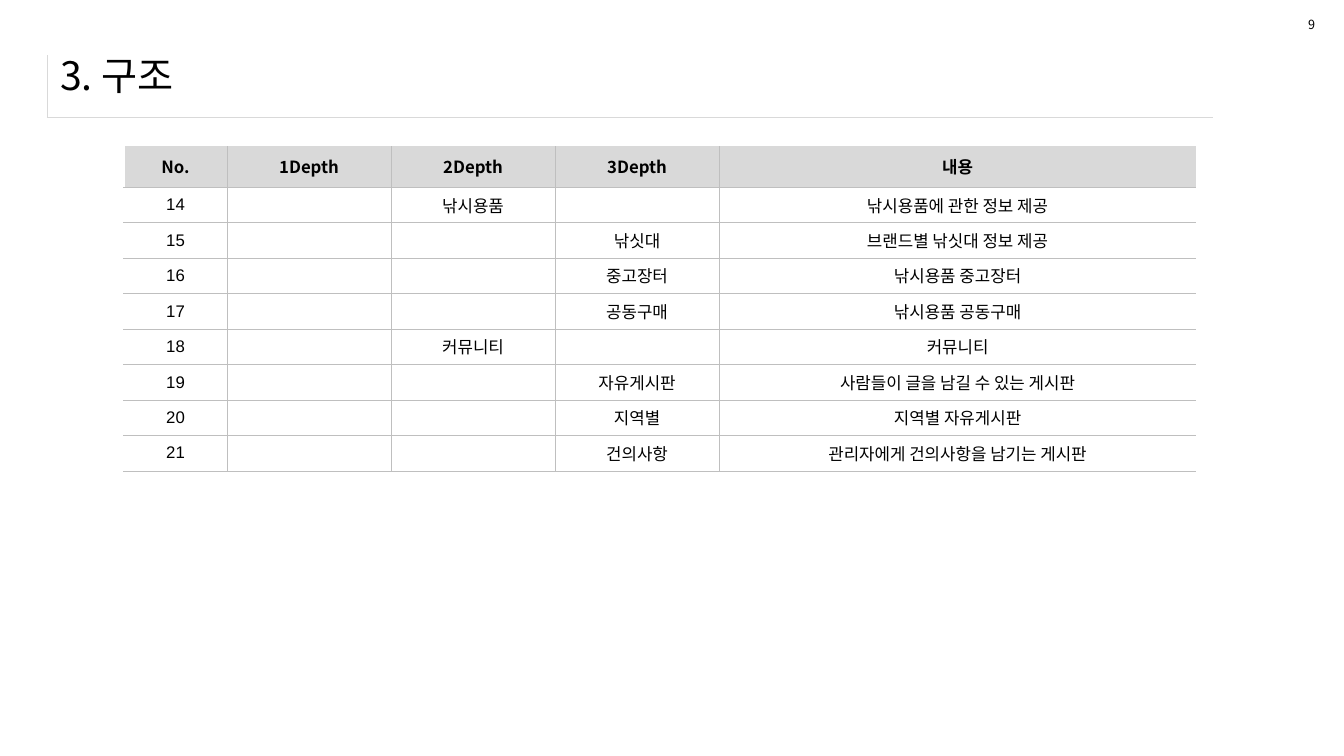
from lxml import etree
from pptx import Presentation
from pptx import util as u
from pptx.dml.color import RGBColor
from pptx.enum import text
from pptx.oxml.ns import qn

HUE = {"ink": "000000", "head": "D9D9D9", "rule": "BFBFBF",
       "frame": "D9D9D9", "white": "FFFFFF"}
KOREAN, LATIN = "Noto Sans CJK KR", "Arial"


def px(n):
    return round(n * u.Inches(1) / 100.8)


def write(frame, words, size=12, font=KOREAN, bold=False,
          align=text.PP_ALIGN.LEFT):
    """Put one formatted line into a text frame."""
    para = frame.paragraphs[0]
    para.alignment = align
    if not words:
        # An empty line still sets the least height of its row
        para._p.get_or_add_endParaRPr().set("sz", str(size * 100))
        return
    run = para.add_run()
    run.text = words
    run.font.size, run.font.bold, run.font.name = u.Pt(size), bold, font
    run.font.color.rgb = RGBColor.from_string(HUE["ink"])
    props = run._r.get_or_add_rPr()
    etree.SubElement(props, qn("a:ea")).set("typeface", font)


def edge(cell, sides):
    """Draw the given sides of a cell as (hue, points); leave the rest clear."""
    props = cell._tc.get_or_add_tcPr()
    for spot, side in enumerate("LRTB"):
        line = etree.Element(qn("a:ln" + side))
        if side in sides:
            hue, width = sides[side]
            line.set("w", str(u.Pt(width)))
            fill = etree.SubElement(line, qn("a:solidFill"))
            etree.SubElement(fill, qn("a:srgbClr")).set("val", HUE[hue])
        else:
            line.set("w", "0")
            etree.SubElement(line, qn("a:noFill"))
        props.insert(spot, line)


class Deck:
    def __init__(self, wide, high):
        self.show = Presentation()
        self.show.slide_width, self.show.slide_height = wide, high
        self.slide = self.show.slides.add_slide(self.show.slide_layouts[5])

    def title(self, box, words, size):
        shape = self.slide.shapes.title
        shape.left, shape.top, shape.width, shape.height = map(px, box)
        frame = shape.text_frame
        frame.vertical_anchor = text.MSO_ANCHOR.MIDDLE
        write(frame, words, size)

    def label(self, box, words, size):
        frame = self.slide.shapes.add_textbox(*map(px, box)).text_frame
        frame.word_wrap = False
        write(frame, words, size)

    def table(self, left, top, cols, rows):
        box = map(px, (left, top, sum(cols), sum(rows)))
        grid = self.slide.shapes.add_table(len(rows), len(cols), *box).table
        grid.first_row = grid.horz_banding = False
        for col, width in zip(grid.columns, cols):
            col.width = px(width)
        for row, height in zip(grid.rows, rows):
            row.height = px(height)
        return grid

    def cell(self, cell, words, sides, fill=None, **style):
        cell.vertical_anchor = text.MSO_ANCHOR.MIDDLE
        if fill:
            cell.fill.solid()
            cell.fill.fore_color.rgb = RGBColor.from_string(HUE[fill])
        else:
            cell.fill.background()
        edge(cell, sides)
        write(cell.text_frame, words, align=text.PP_ALIGN.CENTER, **style)


deck = Deck(u.Inches(13.33), u.Inches(7.5))

# Title with its corner rule, and page number
frame = deck.table(47, 55, [1166], [62])
deck.cell(frame.cell(0, 0), "", {"L": ("frame", 0.25), "B": ("frame", 0.25)})
deck.title((50, 41, 1259, 67), "3. 구조", 28)
deck.label((1298, 12, 27, 25), "9", 9)

# Site structure
heads = ["No.", "1Depth", "2Depth", "3Depth", "내용"]
menus = [
    ("낚시용품", "", "낚시용품에 관한 정보 제공"),
    ("", "낚싯대", "브랜드별 낚싯대 정보 제공"),
    ("", "중고장터", "낚시용품 중고장터"),
    ("", "공동구매", "낚시용품 공동구매"),
    ("커뮤니티", "", "커뮤니티"),
    ("", "자유게시판", "사람들이 글을 남길 수 있는 게시판"),
    ("", "지역별", "지역별 자유게시판"),
    ("", "건의사항", "관리자에게 건의사항을 남기는 게시판"),
]
lines = [heads] + [(str(no), "", *menu) for no, menu in enumerate(menus, 14)]
step = 284 / len(menus)
grid = deck.table(124, 146, [103, 164, 164, 164, 477],
                  [41] + [step] * len(menus))
rule = ("rule", 0.25)
for r, line in enumerate(lines):
    for c, words in enumerate(line):
        sides = {"L": rule if c else ("white", 1), "B": rule}
        if r:
            sides["T"] = rule
        if c < len(heads) - 1:
            sides["R"] = rule
        deck.cell(grid.cell(r, c), words, sides,
                  fill=None if r else "head", bold=r == 0,
                  font=LATIN if r and c == 0 else KOREAN)

deck.show.save("out.pptx")
